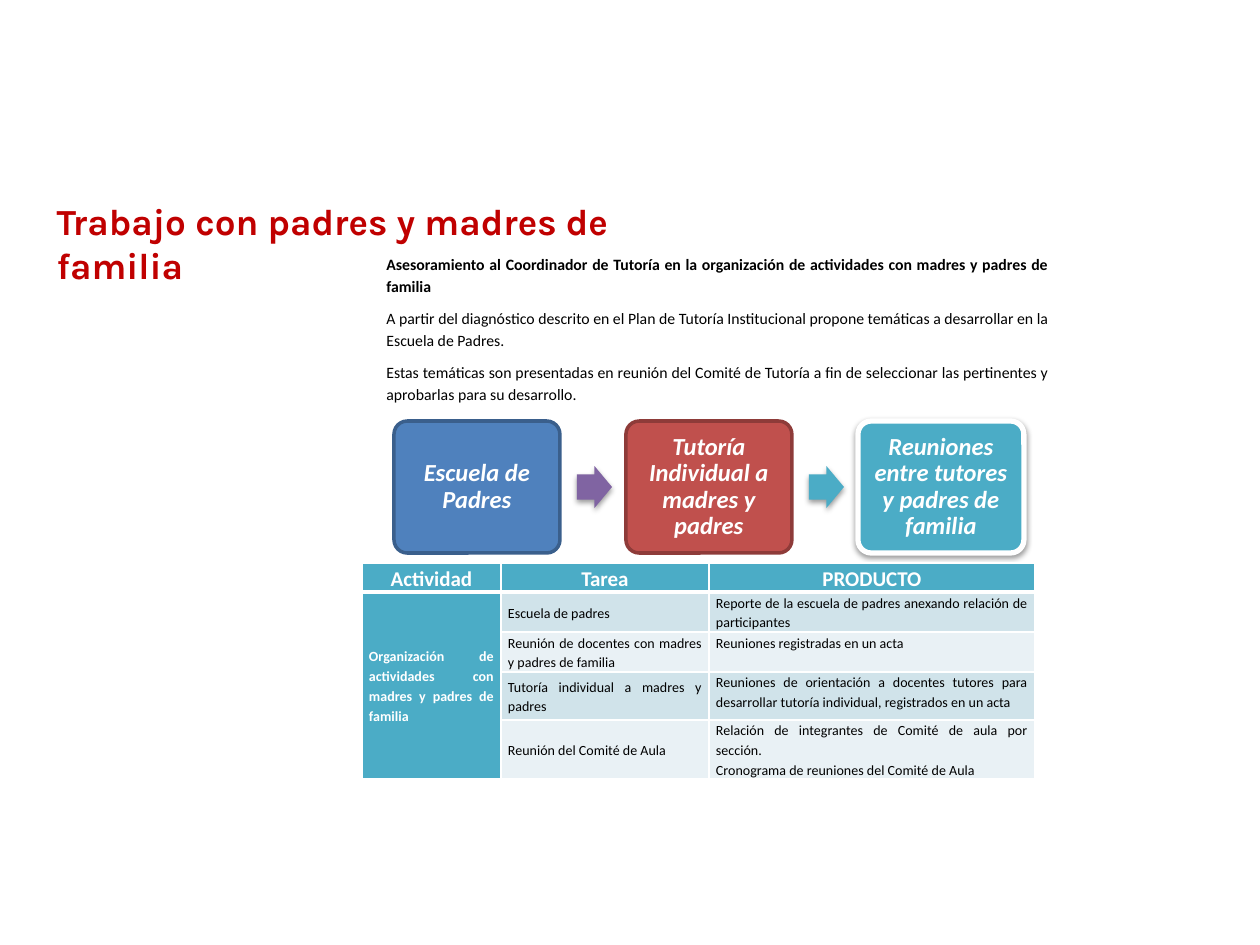
from dataclasses import dataclass

import pptx
import pptx.dml.color
import pptx.enum.shapes
import pptx.enum.text
import pptx.oxml
import pptx.oxml.ns
import pptx.util

PX_PER_INCH = 126
SHAPE = pptx.enum.shapes.MSO_SHAPE
ANCHOR = pptx.enum.text.MSO_ANCHOR
ALIGN = pptx.enum.text.PP_ALIGN
RED, WHITE, BLACK, TEAL = "C00000", "FFFFFF", "000000", "4BACC6"


@dataclass
class Step:
    label: str
    fill: str
    border: str
    border_pt: float
    shadow: bool = False


@dataclass
class Task:
    name: str
    products: list[str]
    height: int


STEPS = [
    Step("Escuela de Padres", "4F81BD", "3A5F8C", 2),
    Step("Tutoría Individual a madres y padres", "C0504D", "8E3B39", 2),
    Step("Reuniones entre tutores y padres de familia", TEAL, WHITE, 3, True),
]
ARROW_FILLS = ["8064A2", TEAL]
ADVICE = [
    "Asesoramiento al Coordinador de Tutoría en la organización de actividades "
    "con madres y padres de familia",
    "A partir del diagnóstico descrito en el Plan de Tutoría Institucional propone "
    "temáticas a desarrollar en la Escuela de Padres.",
    "Estas temáticas son presentadas en reunión del Comité de Tutoría a fin de "
    "seleccionar las pertinentes y aprobarlas para su desarrollo.",
]
HEADINGS = ["Actividad", "Tarea", "PRODUCTO"]
ACTIVITY = "Organización de actividades con madres y padres de familia"
TASKS = [
    Task("Escuela de padres",
         ["Reporte de la escuela de padres anexando relación de participantes"], 40),
    Task("Reunión de docentes con madres y padres de familia",
         ["Reuniones registradas en un acta"], 40),
    Task("Tutoría individual a madres y padres",
         ["Reuniones de orientación a docentes tutores para desarrollar tutoría "
          "individual, registrados en un acta"], 48),
    Task("Reunión del Comité de Aula",
         ["Relación de integrantes de Comité de aula por sección.",
          "Cronograma de reuniones del Comité de Aula"], 59),
]
COLUMN_WIDTHS = [139, 208, 326]
HEADER_HEIGHT = 29
BANDS = ["D0E3EA", "E9F1F5"]


def px(length: int) -> int:
    return round(length * pptx.util.Inches(1) / PX_PER_INCH)


def color(hex_value: str):
    return pptx.dml.color.RGBColor.from_string(hex_value)


def write(paragraph, text: str, *, size: float, fill: str = BLACK, bold: bool = False,
          italic: bool = False, font: str = "Calibri", align=ALIGN.JUSTIFY,
          spacing: float = 1.15, after: float = 0) -> None:
    paragraph.alignment = align
    paragraph.line_spacing = spacing
    paragraph.space_before = pptx.util.Pt(0)
    paragraph.space_after = pptx.util.Pt(after)
    run = paragraph.add_run()
    run.text = text
    run.font.name = font
    run.font.size = pptx.util.Pt(size)
    run.font.bold, run.font.italic = bold, italic
    run.font.color.rgb = color(fill)


def paragraph_at(frame, index: int):
    return frame.paragraphs[0] if index == 0 else frame.add_paragraph()


def add_block(slide, kind, left: int, top: int, width: int, height: int, fill: str,
              adjustments: list[float], shadow: bool):
    block = slide.shapes.add_shape(kind, px(left), px(top), px(width), px(height))
    for index, value in enumerate(adjustments):
        block.adjustments[index] = value
    block.fill.solid()
    block.fill.fore_color.rgb = color(fill)
    block.line.fill.background()
    block.shadow.inherit = False
    if shadow:
        effects = block._element.spPr.find(pptx.oxml.ns.qn("a:effectLst"))
        effects.append(pptx.oxml.parse_xml(
            f'<a:outerShdw {pptx.oxml.ns.nsdecls("a")} blurRad="40000" dist="20000" '
            'dir="5400000" rotWithShape="0"><a:srgbClr val="000000">'
            '<a:alpha val="38000"/></a:srgbClr></a:outerShdw>'))
    return block


def add_step(slide, step: Step, left: int) -> None:
    card = add_block(slide, SHAPE.ROUNDED_RECTANGLE, left, 421, 166, 132,
                     step.fill, [0.1], step.shadow)
    card.line.color.rgb = color(step.border)
    card.line.width = pptx.util.Pt(step.border_pt)
    frame = card.text_frame
    frame.word_wrap = True
    frame.vertical_anchor = ANCHOR.MIDDLE
    frame.margin_left = frame.margin_right = px(8)
    frame.margin_top = frame.margin_bottom = px(8)
    write(frame.paragraphs[0], step.label, size=14, fill=WHITE, bold=True,
          italic=True, align=ALIGN.CENTER, spacing=0.9)


def format_cell(cell, fill: str, top_pt: float, bottom_pt: float, anchor) -> None:
    cell.margin_left = cell.margin_right = px(7)
    cell.margin_top = cell.margin_bottom = 0
    cell.vertical_anchor = anchor
    properties = cell._tc.get_or_add_tcPr()
    for side, points in (("L", 1), ("R", 1), ("T", top_pt), ("B", bottom_pt)):
        properties.append(pptx.oxml.parse_xml(
            f'<a:ln{side} {pptx.oxml.ns.nsdecls("a")} w="{pptx.util.Pt(points)}">'
            f'<a:solidFill><a:srgbClr val="{WHITE}"/></a:solidFill></a:ln{side}>'))
    cell.fill.solid()
    cell.fill.fore_color.rgb = color(fill)


def add_activity_table(slide) -> None:
    heights = [HEADER_HEIGHT] + [task.height for task in TASKS]
    table = slide.shapes.add_table(
        len(heights), len(COLUMN_WIDTHS), px(362), px(563),
        px(sum(COLUMN_WIDTHS)), px(sum(heights))).table
    for column, width in zip(table.columns, COLUMN_WIDTHS):
        column.width = px(width)
    for row, height in zip(table.rows, heights):
        row.height = px(height)

    for index, heading in enumerate(HEADINGS):
        cell = table.cell(0, index)
        format_cell(cell, TEAL, 1, 3, ANCHOR.TOP)
        write(cell.text_frame.paragraphs[0], heading, size=12, fill=WHITE,
              bold=True, align=ALIGN.CENTER)

    for row, task in enumerate(TASKS, start=1):
        band = BANDS[(row - 1) % 2]
        top_pt = 3 if row == 1 else 1
        activity, name, product = (table.cell(row, column) for column in range(3))
        format_cell(activity, TEAL, top_pt, 1, ANCHOR.MIDDLE)
        format_cell(name, band, top_pt, 1, ANCHOR.MIDDLE)
        format_cell(product, band, top_pt, 1, ANCHOR.TOP)
        write(name.text_frame.paragraphs[0], task.name, size=8)
        for index, text in enumerate(task.products):
            write(paragraph_at(product.text_frame, index), text, size=8)

    table.cell(1, 0).merge(table.cell(len(TASKS), 0))
    write(table.cell(1, 0).text_frame.paragraphs[0], ACTIVITY, size=8,
          fill=WHITE, bold=True)


def main() -> None:
    deck = pptx.Presentation()
    deck.slide_width, deck.slide_height = px(1260), px(945)
    slide = deck.slides.add_slide(deck.slide_layouts[5])

    # Title
    title = slide.shapes.title
    title.left, title.top, title.width, title.height = px(44), px(192), px(680), px(57)
    title.text_frame.word_wrap = True
    title.text_frame.auto_size = pptx.enum.text.MSO_AUTO_SIZE.NONE
    title.text_frame.vertical_anchor = ANCHOR.TOP
    write(title.text_frame.paragraphs[0], "Trabajo con padres y madres de familia",
          size=21, fill=RED, bold=True, font="Karla", align=ALIGN.LEFT, spacing=1.0)

    # Advice paragraphs, the first one as a heading
    advice = slide.shapes.add_textbox(px(248), px(246), px(812), px(197)).text_frame
    advice.word_wrap = True
    for index, text in enumerate(ADVICE):
        paragraph = paragraph_at(advice, index)
        paragraph._p.get_or_add_pPr().set("marL", str(px(126)))
        write(paragraph, text, size=9, bold=index == 0, after=6)

    # Row of steps with arrows between them
    first_left, pitch = 394, 232
    for index, step in enumerate(STEPS):
        add_step(slide, step, first_left + index * pitch)
    for index, fill in enumerate(ARROW_FILLS):
        add_block(slide, SHAPE.RIGHT_ARROW, first_left + 183 + index * pitch, 466,
                  35, 42, fill, [0.6, 0.5], True)

    # Activities, tasks and products
    add_activity_table(slide)
    deck.save("out.pptx")


if __name__ == "__main__":
    main()
